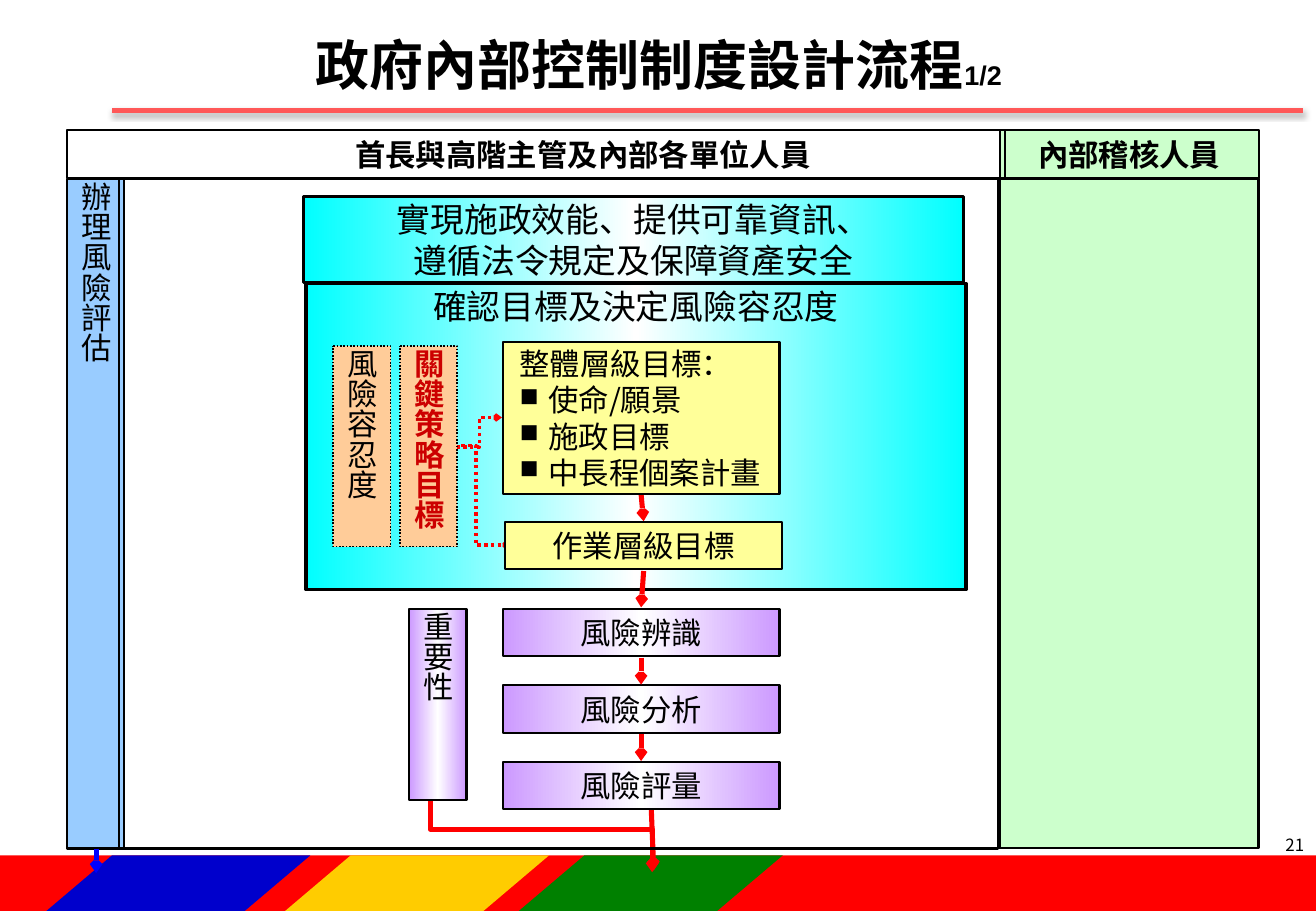
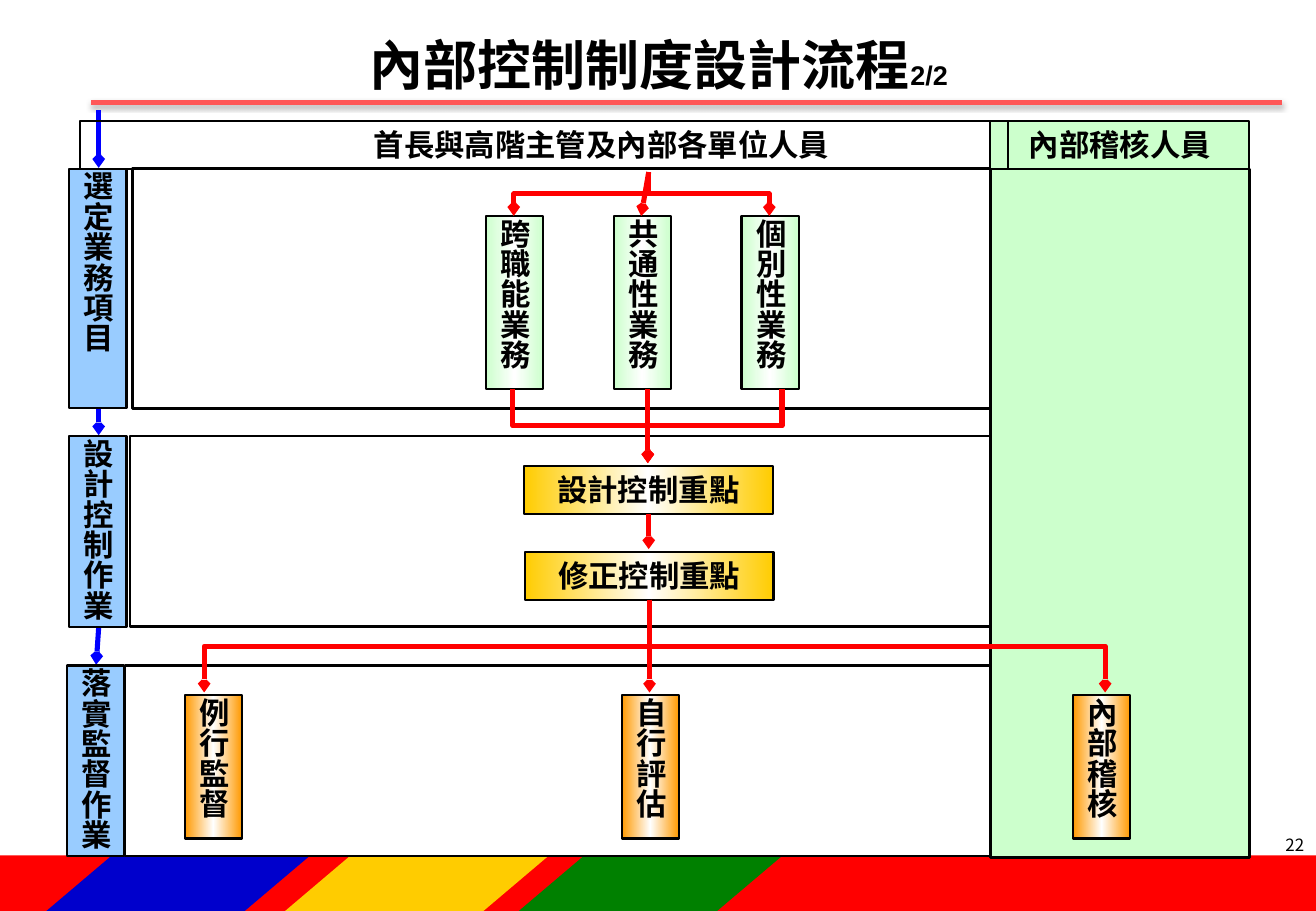
from copy import deepcopy

from lxml.etree import SubElement
from pptx import Presentation
from pptx.dml.color import RGBColor
from pptx.enum.dml import MSO_LINE
from pptx.enum.shapes import MSO_CONNECTOR, MSO_SHAPE
from pptx.enum.text import MSO_ANCHOR, PP_ALIGN
from pptx.oxml.ns import qn
from pptx.util import Pt

COLORS = {
    "black": "000000", "white": "FFFFFF", "red": "FF0000", "blue": "0000FF",
    "rule": "FF5858", "navy": "0000CC", "green": "008000", "gold": "FFCC00",
    "cyan": "00FFFF", "sky": "99CCFF", "violet": "CC99FF", "mint": "CCFFCC",
    "peach": "FFCC99", "yellow": "FFFF99", "orange": "FF9900", "crimson": "CC0000",
}
RGB = {name: RGBColor.from_string(value) for name, value in COLORS.items()}
CJK_FONT = "Noto Sans CJK SC"


def add_node(page, left, top, width, height, text="", fill=None, gradient=False, bold=False,
             vertical=False, size=18, border=1.25, ink="black", inset=4):
    box = page.shapes.add_shape(MSO_SHAPE.FLOWCHART_PROCESS, Pt(left), Pt(top), Pt(width), Pt(height))
    box.shadow.inherit = False
    box.line.color.rgb = RGB["black"]
    box.line.width = Pt(border)
    if gradient:
        box.fill.gradient()
        box.fill.gradient_angle = 0
        stop_list = box.element.spPr.find(qn("a:gradFill")).find(qn("a:gsLst"))
        stop_list.append(deepcopy(stop_list[0]))
        for stop, position, color in zip(box.fill.gradient_stops, (0, 0.5, 1), (fill, "white", fill)):
            stop.position = position
            stop.color.rgb = RGB[color]
    elif fill:
        box.fill.solid()
        box.fill.fore_color.rgb = RGB[fill]
    else:
        box.fill.background()
    if not text:
        return box
    frame = box.text_frame
    frame.text = text
    frame.word_wrap = True
    frame.vertical_anchor = MSO_ANCHOR.MIDDLE
    frame.margin_left, frame.margin_right = Pt(inset), Pt(4)
    frame.margin_top = frame.margin_bottom = Pt(1.5)
    if vertical:
        frame._txBody.bodyPr.set("vert", "eaVert")
    for para in frame.paragraphs:
        para.alignment = PP_ALIGN.CENTER
        para.line_spacing = Pt(size * 1.2)
        for span in para.runs:
            span.font.size = Pt(size)
            span.font.bold = bold
            span.font.color.rgb = RGB[ink]
    return box


def add_link(page, x1, y1, x2, y2, color="red", bend=None, downward=True, dotted=False, head=True):
    kind = MSO_CONNECTOR.STRAIGHT if bend is None else MSO_CONNECTOR.ELBOW
    if bend is not None and downward:
        middle_x, middle_y = (x1 + x2) / 2, (y1 + y2) / 2
        half_width, half_height = abs(y2 - y1) / 2, abs(x2 - x1) / 2
        link = page.shapes.add_connector(kind, Pt(middle_x - half_width), Pt(middle_y - half_height),
                                         Pt(middle_x + half_width), Pt(middle_y + half_height))
        xfrm = link.element.spPr.xfrm
        xfrm.set("rot", str((270 if x2 > x1 else 90) * 60000))
        if x2 > x1:
            xfrm.set("flipH", "1")
    else:
        link = page.shapes.add_connector(kind, Pt(x1), Pt(y1), Pt(x2), Pt(y2))
    properties = link.element.spPr
    if bend is not None:
        guides = properties.find(qn("a:prstGeom")).get_or_add_avLst()
        SubElement(guides, qn("a:gd"), name="adj1", fmla=f"val {round(bend * 100000)}")
    link.line.color.rgb = RGB[color]
    link.line.width = Pt(2 if dotted else 3)
    if dotted:
        link.line.dash_style = MSO_LINE.ROUND_DOT
    if head:
        SubElement(properties.get_or_add_ln(), qn("a:tailEnd"), type="arrow", w="sm", len="sm")
    SubElement(properties, qn("a:effectLst"))
    return link


deck = Presentation()
deck.slide_width, deck.slide_height = Pt(780), Pt(540)
layout = deck.slide_layouts[5]
layout_title = layout.placeholders[0]
layout_title.left, layout_title.top = Pt(88.5), Pt(15)
layout_title.width, layout_title.height = Pt(604), Pt(45.5)

pages = []
for title, part, number, rule_left, rule_top in (
    ("政府內部控制制度設計流程", "1/2", "21", 66.5, 65.5),
    ("內部控制制度設計流程", "2/2", "22", 54, 60.5),
):
    page = deck.slides.add_slide(layout)
    pages.append(page)
    frame = page.shapes.title.text_frame
    frame.text = title
    frame.vertical_anchor = MSO_ANCHOR.MIDDLE
    para = frame.paragraphs[0]
    para.alignment = PP_ALIGN.CENTER
    part_span = para.add_run()
    part_span.text = part
    part_span.font.name = "Arial"
    for span, size in zip(para.runs, (32, 16)):
        span.font.size = Pt(size)
        span.font.bold = True
        span.font.color.rgb = RGB["black"]

    number_box = page.shapes.add_textbox(Pt(598), Pt(491), Pt(182), Pt(36))
    number_box.text_frame.word_wrap = True
    number_box.text_frame.text = number
    para = number_box.text_frame.paragraphs[0]
    para.alignment = PP_ALIGN.RIGHT
    para.runs[0].font.size = Pt(10)
    para.runs[0].font.color.rgb = RGB["black"]

    rule = add_link(page, rule_left, rule_top, rule_left + 706, rule_top, "rule", head=False)
    shadow = SubElement(rule.element.spPr.find(qn("a:effectLst")), qn("a:outerShdw"),
                        blurRad=str(Pt(3.1)), dist=str(Pt(1.8)), dir="5400000", rotWithShape="0")
    shadow_color = SubElement(shadow, qn("a:srgbClr"), val=COLORS["black"])
    SubElement(shadow_color, qn("a:alpha"), val="35000")

risk_page, design_page = pages

for index, (shape_kind, left, width, color) in enumerate((
    (MSO_SHAPE.RECTANGLE, 0, 780, "red"),
    (MSO_SHAPE.PARALLELOGRAM, 169, 156.5, "gold"),
    (MSO_SHAPE.PARALLELOGRAM, 307.5, 156.5, "green"),
    (MSO_SHAPE.PARALLELOGRAM, 27.5, 156.5, "navy"),
)):
    band = risk_page.shapes.add_shape(shape_kind, Pt(left), Pt(507), Pt(width), Pt(33))
    band.shadow.inherit = False
    band.fill.solid()
    band.fill.fore_color.rgb = RGB[color]
    band.line.fill.background()
    if shape_kind == MSO_SHAPE.PARALLELOGRAM:
        band.adjustments[0] = 1.18
    band.element.nvSpPr.cNvPr.set("id", str(50 + index))
    layout.shapes._spTree.append(band.element)

add_node(risk_page, 180, 116.5, 391, 51, "實現施政效能、提供可靠資訊、\n遵循法令規定及保障資產安全",
         "cyan", gradient=True, size=20, border=2)
tolerance = add_node(risk_page, 181.5, 168, 391, 181.5, "確認目標及決定風險容忍度",
                     "cyan", gradient=True, size=20, border=2)
tolerance.text_frame.vertical_anchor = MSO_ANCHOR.TOP
add_link(risk_page, 380, 293, 381.5, 309)
add_link(risk_page, 381.5, 338.5, 380, 360)
add_node(risk_page, 39.5, 106, 34, 397, "辦理風險評估", "sky", vertical=True)
add_link(risk_page, 255, 474.5, 386.5, 517, bend=0.4)
add_link(risk_page, 386, 479, 387.5, 516)
add_link(risk_page, 270.5, 265, 297.5, 247.5, bend=0.51, downward=False, dotted=True)
add_link(risk_page, 273.5, 264, 303, 323, bend=0.29, downward=False, dotted=True)
add_node(risk_page, 70.5, 106, 521, 397, border=1.5)

for index, step in enumerate(("風險辨識", "風險分析", "風險評量")):
    top = 361 + 45.3 * index
    add_node(risk_page, 298, top, 164, 28, step, "violet", gradient=True)
    if index:
        add_link(risk_page, 380, top - 16.5, 380, top - 0.5)
add_node(risk_page, 242.5, 361, 34, 113, "重要性", "violet", gradient=True, vertical=True)
add_link(risk_page, 57, 503, 57, 517.5, "blue")

for left, label, ink in ((237, "關鍵策略目標", "crimson"), (197.5, "風險容忍度", "black")):
    box = add_node(risk_page, left, 205, 34, 119, label, "peach", vertical=True,
                   bold=ink == "crimson", border=1, ink=ink)
    box.line.dash_style = MSO_LINE.ROUND_DOT

goals = add_node(risk_page, 298, 202.5, 164, 90.5, "整體層級目標：\n使命/願景\n施政目標\n中長程個案計畫",
                 "yellow", inset=10)
for index, para in enumerate(goals.text_frame.paragraphs):
    para.alignment = PP_ALIGN.LEFT
    if index:
        settings = para._p.get_or_add_pPr()
        settings.set("marL", str(Pt(17)))
        settings.set("indent", str(-Pt(17)))
        SubElement(settings, qn("a:buSzPct"), val="85000")
        SubElement(settings, qn("a:buChar"), char="■")
add_node(risk_page, 299.5, 309.5, 164, 28, "作業層級目標", "yellow")

add_link(design_page, 58.5, 65.5, 58.5, 99.5, "blue")
add_link(design_page, 58.5, 372, 57, 394, "blue")
add_link(design_page, 58.5, 242, 58.5, 258, "blue")

for label, side_left, frame_left, top, height in (
    ("選定業務項目", 41, 78.5, 100, 142),
    ("設計控制作業", 41, 77, 258.5, 113),
    ("落實監督作業", 39.5, 74, 394.5, 113),
):
    add_node(design_page, side_left, top, 34, height, label, "sky", bold=True, vertical=True)
    add_node(design_page, frame_left, top, 516, height, border=1.5)

for page, header_left, header_top, header_width, inset, audit_left, audit_height in (
    (risk_page, 39.5, 77, 556, 60, 592.5, 397),
    (design_page, 47.5, 71.5, 550, 72, 587, 408),
):
    add_node(page, audit_left, header_top + 28.75, 153.5, audit_height, fill="mint", border=1.5)
    add_node(page, audit_left, header_top, 153.5, 28.5, "內部稽核人員", "mint", bold=True)
    add_node(page, header_left, header_top, header_width, 28.5, "首長與高階主管及內部各單位人員",
             bold=True, inset=inset)

for index, label in enumerate(("跨職能業務", "共通性業務", "個別性業務")):
    add_node(design_page, 288 + 75.75 * index, 128, 34, 102.5, label, "mint",
             gradient=True, bold=True, vertical=True)
for x, bend in ((304.5, 0.5), (380, None), (456, 0.5)):
    add_link(design_page, 384.5, 102, x, 128, bend=bend)
for x, bend in ((304, 0.5), (384, None), (463.5, 0.5)):
    add_link(design_page, x, 230.5, 384, 274.5, bend=bend)

for left, top, label in ((310.5, 276, "設計控制重點"), (311, 327, "修正控制重點")):
    add_node(design_page, left, top, 147.5, 28.5, label, "gold", gradient=True, bold=True)
add_link(design_page, 384.5, 304.5, 384.5, 325.5)

for left, label, x, bend in (
    (109.5, "例行監督", 121, 0.5),
    (368.5, "自行評估", 385, None),
    (636, "內部稽核", 655, 0.5),
):
    add_node(design_page, left, 412, 34, 85, label, "orange", gradient=True, bold=True, vertical=True)
    add_link(design_page, 385, 355.5, x, 410.5, bend=bend)

for page in pages:
    for shape in page.shapes:
        if shape.has_text_frame:
            for para in shape.text_frame.paragraphs:
                for span in para.runs:
                    if span.font.name is None:
                        span.font.name = CJK_FONT
                    SubElement(span._r.get_or_add_rPr(), qn("a:ea"), typeface=CJK_FONT)

deck.save("out.pptx")
